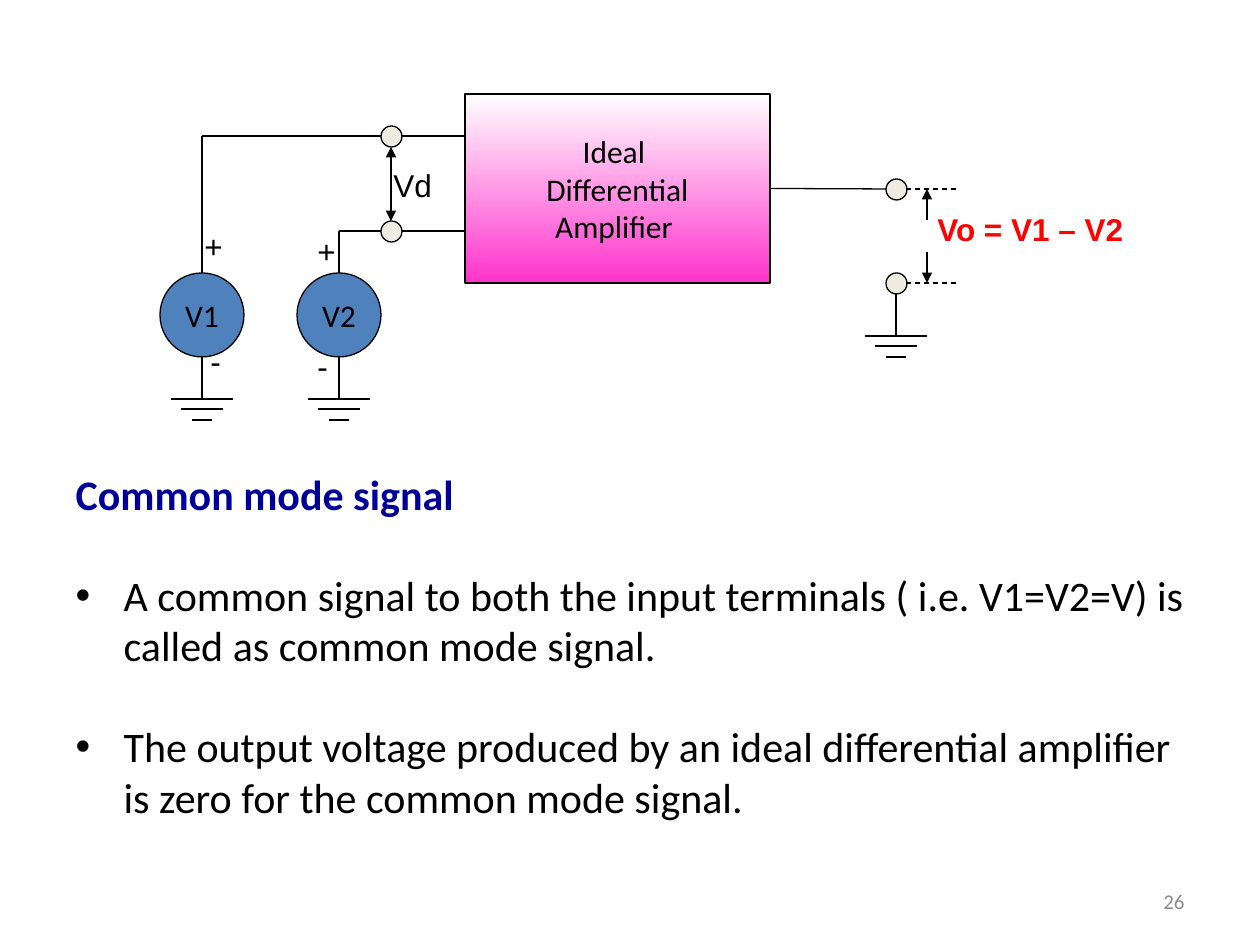
import pptx
import pptx.util
import pptx.dml.color
import pptx.enum.shapes
import pptx.enum.text
import pptx.enum.dml
import pptx.oxml
import pptx.oxml.ns
import lxml.etree

PIXEL = 914400 / 126
RGB = pptx.dml.color.RGBColor.from_string
ALIGN = pptx.enum.text.PP_ALIGN
ANCHOR = pptx.enum.text.MSO_ANCHOR
SHAPE = pptx.enum.shapes.MSO_SHAPE
THEME = {
    "ink": RGB("000000"),
    "source": RGB("4F81BD"),
    "terminal": RGB("EEECE1"),
    "gradient": (RGB("FFFFFF"), RGB("FF33CC")),
    "result": RGB("FF0000"),
    "heading": RGB("000099"),
    "page": RGB("8C8C8C"),
    "diagram_font": "Arial",
    "body_font": "Calibri",
    "label_size": pptx.util.Pt(18),
    "body_size": pptx.util.Pt(24),
    "page_size": pptx.util.Pt(12),
    "line": pptx.util.Pt(0.75),
}


def add_line(shapes, x1, y1, x2, y2, ends=(), dashed=False):
    points = [round(value * PIXEL) for value in (x1, y1, x2, y2)]
    connector = shapes.add_connector(pptx.enum.shapes.MSO_CONNECTOR.STRAIGHT, *points)
    connector.line.color.rgb = THEME["ink"]
    connector.line.width = THEME["line"]
    if dashed:
        connector.line.dash_style = pptx.enum.dml.MSO_LINE.DASH
    line_element = connector.line._get_or_add_ln()
    for end in ends:
        lxml.etree.SubElement(line_element, pptx.oxml.ns.qn(f"a:{end}"), type="triangle")
    lxml.etree.SubElement(connector._element.spPr, pptx.oxml.ns.qn("a:effectLst"))
    return connector


def set_text(shape, text, font, size, color, align=ALIGN.LEFT, bold=False):
    text_frame = shape.text_frame
    text_frame.text = text
    for paragraph in text_frame.paragraphs:
        paragraph.alignment = align
        for run in paragraph.runs:
            run.font.name = font
            run.font.size = size
            run.font.color.rgb = color
            run.font.bold = bold


presentation = pptx.Presentation()
presentation.slide_width = round(1260 * PIXEL)
presentation.slide_height = round(945 * PIXEL)
slide = presentation.slides.add_slide(presentation.slide_layouts[1])
shapes = slide.shapes
title = shapes.title
title._element.getparent().remove(title._element)

input_x, output_x, arrow_x = 391, 896, 927
upper_y, lower_y, output_y, return_y = 136, 231, 189, 283
source_top, source_size, terminal_radius = 273, 84, 10
source_bottom = source_top + source_size
amplifier_left, amplifier_right = 465, 770
sources = {"V1": (202, upper_y), "V2": (339, lower_y)}

nodes = [("Ideal \nDifferential\nAmplifier ", SHAPE.RECTANGLE, amplifier_left, 94, 305, 189)]
for name, (x, wire_y) in sources.items():
    nodes.append((name, SHAPE.OVAL, x - source_size // 2, source_top, source_size, source_size))
node_shapes = []
for name, kind, *box in nodes:
    node = shapes.add_shape(kind, *[round(value * PIXEL) for value in box])
    node.shadow.inherit = False
    node.fill.solid()
    node.fill.fore_color.rgb = THEME["source"]
    node.line.color.rgb = THEME["ink"]
    node.line.width = THEME["line"]
    set_text(node, name, THEME["body_font"], THEME["label_size"], THEME["ink"], ALIGN.CENTER)
    node.text_frame.word_wrap = False
    node.text_frame.vertical_anchor = ANCHOR.MIDDLE
    node_shapes.append(node)

amplifier = node_shapes[0]
amplifier.fill.gradient()
amplifier.fill.gradient_angle = 270
for stop, color, position in zip(amplifier.fill.gradient_stops, THEME["gradient"], (0, 1)):
    stop.color.rgb = color
    stop.position = position

for x, wire_y in sources.values():
    add_line(shapes, x, source_top, x, wire_y)
    add_line(shapes, x, wire_y, amplifier_left, wire_y)
output_wire = add_line(shapes, amplifier_right, output_y, output_x, output_y)
output_wire.begin_connect(amplifier, 3)

grounds = [(x, source_bottom) for x, wire_y in sources.values()]
grounds.append((output_x, return_y + terminal_radius + 1))
for x, top in grounds:
    add_line(shapes, x, top, x, top + 42)
    for drop, half_width in ((42, 31), (52, 21), (63, 10)):
        add_line(shapes, x - half_width, top + drop, x + half_width, top + drop)

terminals = [(input_x, upper_y), (input_x, lower_y), (output_x, output_y), (output_x, return_y)]
for x, y in terminals:
    box = (x - terminal_radius, y - terminal_radius, 21, 21)
    terminal = shapes.add_shape(SHAPE.OVAL, *[round(value * PIXEL) for value in box])
    terminal.shadow.inherit = False
    terminal.fill.solid()
    terminal.fill.fore_color.rgb = THEME["terminal"]
    terminal.line.color.rgb = THEME["ink"]
    terminal.line.width = THEME["line"]

add_line(shapes, input_x, lower_y - 10, input_x, upper_y + 11, ends=("headEnd", "tailEnd"))
for y, arrow_start in ((output_y, 220), (return_y, 252)):
    add_line(shapes, output_x + terminal_radius, y, 959, y, dashed=True)
    add_line(shapes, arrow_x, arrow_start, arrow_x, y, ends=("tailEnd",))

labels = [
    ("Vd", 381, 160, 64, THEME["ink"], False),
    ("Vo = V1 – V2", 925, 204, 213, THEME["result"], True),
    ("+", 305, 226, 44, THEME["ink"], False),
    ("+", 192, 221, 44, THEME["ink"], False),
    ("-", 305, 341, 35, THEME["ink"], False),
    ("-", 198, 336, 35, THEME["ink"], False),
]
for text, left, top, width, color, bold in labels:
    label = shapes.add_textbox(*[round(value * PIXEL) for value in (left, top, width, 50)])
    set_text(label, text, THEME["diagram_font"], THEME["label_size"], color, bold=bold)
    label.text_frame.word_wrap = False

body = slide.placeholders[1]
body.left, body.top, body.width, body.height = [round(value * PIXEL) for value in (63, 462, 1134, 368)]
set_text(
    body,
    "Common mode signal\n"
    "A common signal to both the input terminals ( i.e. V1=V2=V) is called as common mode signal.\n"
    "The output voltage produced by an ideal differential amplifier is zero for the common mode signal.",
    THEME["body_font"], THEME["body_size"], THEME["ink"],
)
body.text_frame.auto_size = pptx.enum.text.MSO_AUTO_SIZE.NONE
for index, paragraph in enumerate(body.text_frame.paragraphs):
    paragraph.space_before = pptx.util.Pt(29 if index else 0)
    properties = paragraph._p.get_or_add_pPr()
    indent = round(48 * PIXEL)
    properties.set("marL", str(indent))
    properties.set("indent", str(-indent))
    if index:
        lxml.etree.SubElement(properties, pptx.oxml.ns.qn("a:buFont"), typeface="Arial")
        lxml.etree.SubElement(properties, pptx.oxml.ns.qn("a:buChar"), char="•")
    else:
        lxml.etree.SubElement(properties, pptx.oxml.ns.qn("a:buNone"))
heading = body.text_frame.paragraphs[0].runs[0]
heading.font.bold = True
heading.font.color.rgb = THEME["heading"]

page_number = shapes.add_textbox(*[round(value * PIXEL) for value in (903, 876, 294, 50)])
set_text(page_number, "26", THEME["body_font"], THEME["page_size"], THEME["page"], ALIGN.RIGHT)
page_number.text_frame.word_wrap = True
page_number.text_frame.vertical_anchor = ANCHOR.MIDDLE

presentation.save("out.pptx")
